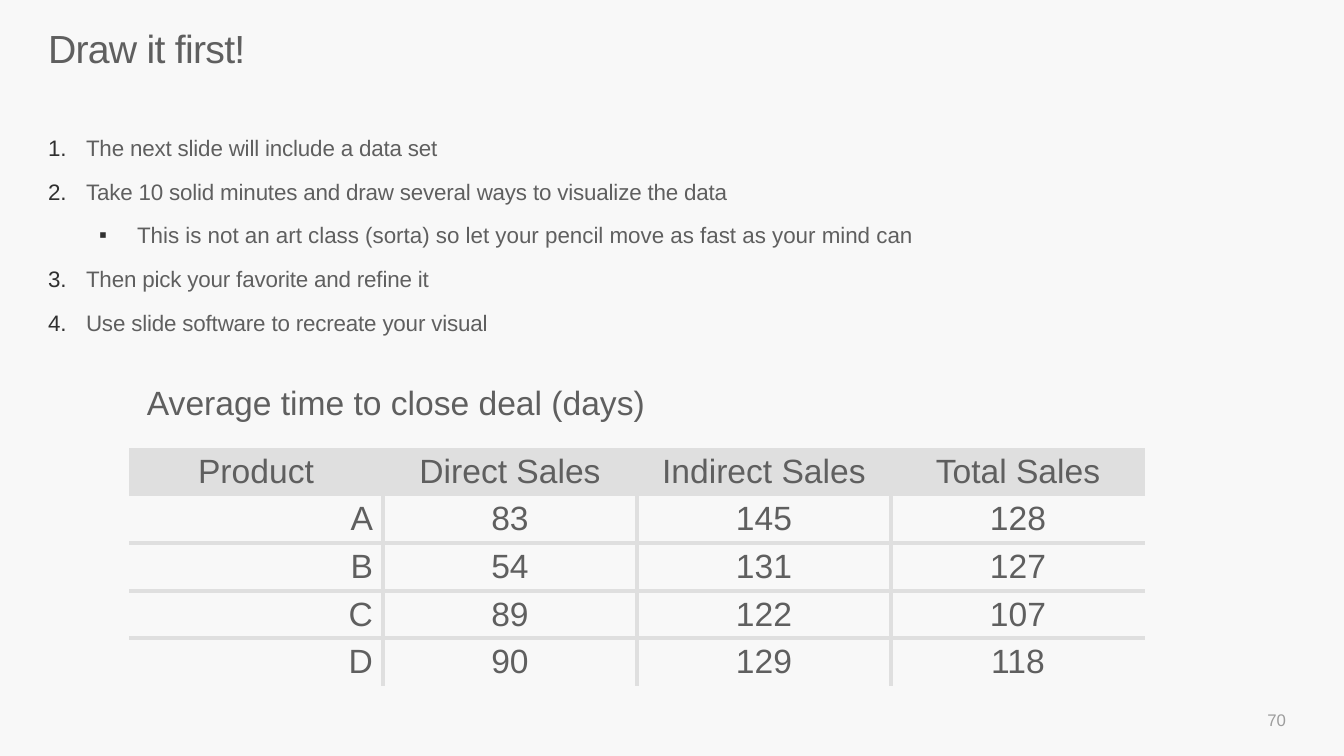
from lxml import etree
from pptx import Presentation
from pptx.dml.color import RGBColor
from pptx.enum.text import MSO_ANCHOR as ANCHOR, PP_ALIGN as ALIGN
from pptx.oxml.ns import qn
from pptx.util import Pt

PX = 914400 / 100.8
FONT = "Arial"
TEXT, MARK, MUTED, RULE, PAPER = "5F5F5F", "303030", "9D9D9D", "DFDFDF", "F8F8F8"

STEPS = [
    (0, "The next slide will include a data set"),
    (0, "Take 10 solid minutes and draw several ways to visualize the data"),
    (1, "This is not an art class (sorta) so let your pencil move as fast as your mind can"),
    (0, "Then pick your favorite and refine it"),
    (0, "Use slide software to recreate your visual"),
]
DEALS = [
    ("Product", "Direct Sales", "Indirect Sales", "Total Sales"),
    ("A", "83", "145", "128"),
    ("B", "54", "131", "127"),
    ("C", "89", "122", "107"),
    ("D", "90", "129", "118"),
]


def px(n):
    """Turn pixels into EMU."""
    return round(n * PX)


def rgb(value):
    """Turn a hex string into a colour."""
    return RGBColor.from_string(value)


def add_xml(parent, tag, **attrs):
    """Append a DrawingML element and return it."""
    return etree.SubElement(parent, qn(tag), attrs)


def style(p, size, color=TEXT, align=None, spacing=0):
    """Format a paragraph and its runs; spacing is in hundredths of a point."""
    p.alignment = align
    for r in p.runs:
        r.font.name, r.font.size = FONT, Pt(size)
        r.font.color.rgb = rgb(color)
        if spacing:
            r._r.get_or_add_rPr().set("spc", str(spacing))


def add_text(s, box, text="", inset=True):
    """Add a wrapping text box and return its frame."""
    tf = s.shapes.add_textbox(*map(px, box)).text_frame
    tf.word_wrap = True
    if not inset:
        tf.margin_left = tf.margin_top = tf.margin_right = tf.margin_bottom = 0
    tf.text = text
    return tf


def add_title(s, box, text):
    """Add the slide title."""
    p = add_text(s, box, text, inset=False).paragraphs[0]
    p.line_spacing = 0.86
    style(p, 28, spacing=-50)


def add_steps(s, box, steps):
    """Add the numbered steps with their bulleted sub-step."""
    tf = add_text(s, box, inset=False)
    for i, (level, text) in enumerate(steps):
        p = tf.add_paragraph() if i else tf.paragraphs[0]
        p.text, p.level = text, level
        if i:
            p.space_before = Pt(12)
        pPr = p._p.get_or_add_pPr()
        pPr.set("marL", str(px(89 if level else 38)))
        pPr.set("indent", str(px(-38)))
        add_xml(add_xml(pPr, "a:buClr"), "a:srgbClr", val=MARK)
        add_xml(pPr, "a:buFont", typeface=FONT)
        if level:
            add_xml(pPr, "a:buChar", char="▪")
        else:
            add_xml(pPr, "a:buAutoNum", type="arabicPeriod")
        style(p, 16, spacing=0 if level else -10)


def add_border(tcPr, side, shown):
    """Draw or clear one side of a table cell."""
    ln = add_xml(tcPr, f"a:ln{side}", w=str(Pt(3)))
    if shown:
        add_xml(add_xml(ln, "a:solidFill"), "a:srgbClr", val=RULE)
    else:
        add_xml(ln, "a:noFill")


def fill_cell(cell, text, row, col, last_row, last_col):
    """Write and format one table cell with inner rules only."""
    cell.text = text
    cell.margin_top, cell.margin_bottom = px(5), px(2)
    align = ALIGN.RIGHT if row and not col else ALIGN.CENTER
    style(cell.text_frame.paragraphs[0], 24, align=align)
    tcPr = cell._tc.get_or_add_tcPr()
    sides = {"L": col > 0, "R": col < last_col, "T": row > 1, "B": 0 < row < last_row}
    for side, shown in sides.items():
        add_border(tcPr, side, shown)
    if row:
        cell.fill.background()
    else:
        cell.fill.solid()
        cell.fill.fore_color.rgb = rgb(RULE)


def add_deals(s, box, caption, rows):
    """Add the captioned table of closing times."""
    x, y, w, h = box
    style(add_text(s, (x + 8, y, 857, 50), caption).paragraphs[0], 24)
    top = 71
    n_rows, n_cols = len(rows), len(rows[0])
    frame = s.shapes.add_table(n_rows, n_cols, *map(px, (x, y + top, w, h - top)))
    table = frame.table
    for i, values in enumerate(rows):
        for j, text in enumerate(values):
            fill_cell(table.cell(i, j), text, i, j, n_rows - 1, n_cols - 1)


def add_page_number(s, box, number):
    """Add the page number at the right of its box."""
    tf = add_text(s, box, number)
    tf.vertical_anchor = ANCHOR.MIDDLE
    style(tf.paragraphs[0], 12, MUTED, ALIGN.RIGHT)


def main():
    """Build and save the slide."""
    prs = Presentation()
    prs.slide_width, prs.slide_height = px(1344), px(756)
    s = prs.slides.add_slide(prs.slide_layouts[6])
    s.background.fill.solid()
    s.background.fill.fore_color.rgb = rgb(PAPER)
    add_title(s, (48, 31, 1249, 90), "Draw it first!")
    add_steps(s, (48, 134, 1249, 510), STEPS)
    add_page_number(s, (994, 700, 302, 40), "70")
    add_deals(s, (129, 377, 1016, 309), "Average time to close deal (days)", DEALS)
    prs.save("out.pptx")


if __name__ == "__main__":
    main()
